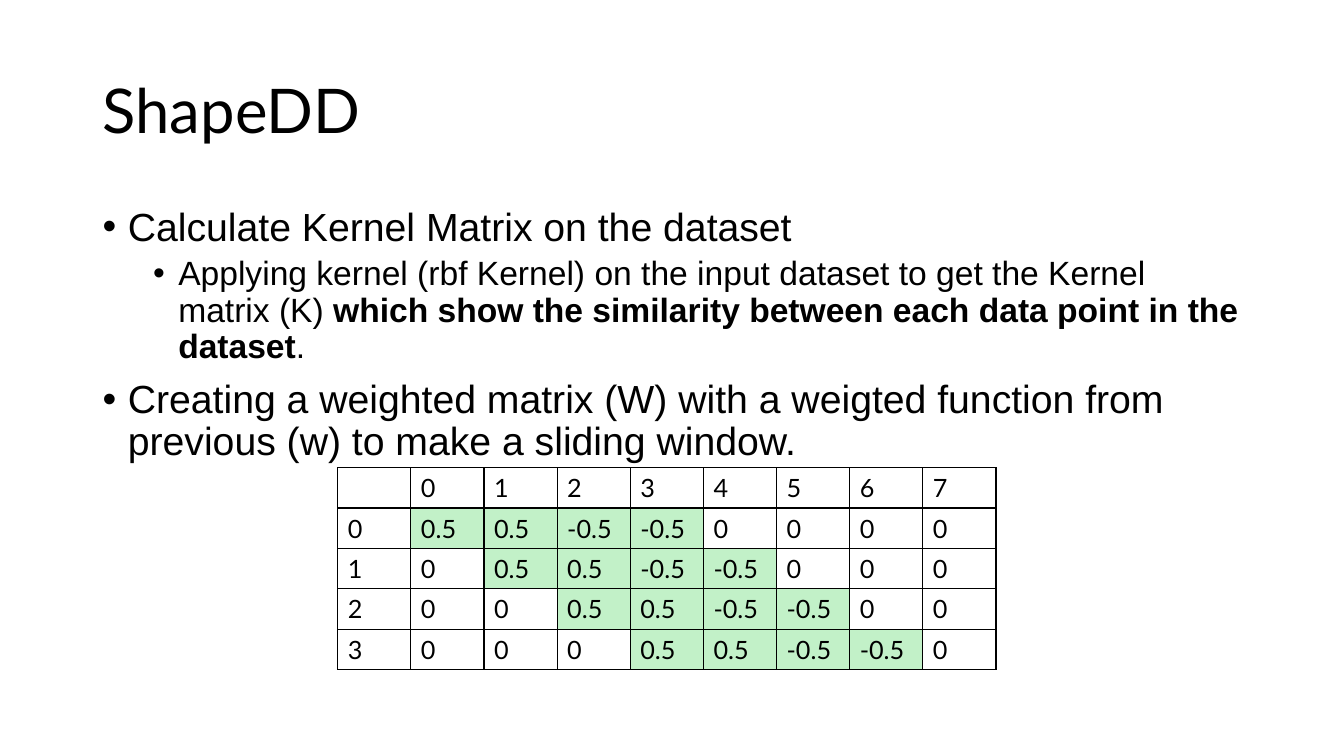
from dataclasses import dataclass

from lxml import etree
from pptx import Presentation
from pptx.dml.color import RGBColor
from pptx.enum.text import MSO_ANCHOR
from pptx.oxml.ns import qn
from pptx.slide import Slide
from pptx.table import _Cell
from pptx.text.text import TextFrame, _Paragraph
from pptx.util import Emu, Inches, Pt

MIDDLE = MSO_ANCHOR.MIDDLE
TOP = MSO_ANCHOR.TOP

SLIDE_WIDTH = Inches(13.333)
SLIDE_HEIGHT = Inches(7.5)
BLANK_LAYOUT = 6

BLACK = "000000"
GREEN = "C2F1C8"
HEADING_FONT = "Lato"
BODY_FONT = "Arial"

KERNEL_WEIGHTS = ("0.5", "0.5", "-0.5", "-0.5")
POINT_COUNT = 8
WINDOW_COUNT = 4


@dataclass(frozen=True)
class Area:
    left: float
    top: float
    width: float
    height: float

    def box(self) -> tuple[Emu, Emu, Emu, Emu]:
        return (
            Emu(round(self.left * SLIDE_WIDTH)),
            Emu(round(self.top * SLIDE_HEIGHT)),
            Emu(round(self.width * SLIDE_WIDTH)),
            Emu(round(self.height * SLIDE_HEIGHT)),
        )


@dataclass(frozen=True)
class Phrase:
    wording: str
    bold: bool = False


@dataclass(frozen=True)
class Point:
    level: int
    size: float
    space_before: float
    phrases: tuple[Phrase, ...]


TITLE_AREA = Area(0.069, 0.053, 0.8625, 0.193)
BODY_AREA = Area(0.069, 0.268, 0.8625, 0.635)
MATRIX_AREA = Area(0.2513, 0.6187, 0.49, 0.267)

POINTS = (
    Point(0, 28, 10, (Phrase("Calculate Kernel Matrix on the dataset"),)),
    Point(1, 24, 5, (
        Phrase("Applying kernel (rbf Kernel) on the input dataset to get the Kernel matrix (K) "),
        Phrase("which show the similarity between each data point in the dataset", True),
        Phrase("."),
    )),
    Point(0, 28, 10, (
        Phrase("Creating a weighted matrix (W) with a weigted function "
               "from previous (w) to make a sliding window."),
    )),
)


def color(code: str) -> RGBColor:
    return RGBColor.from_string(code)


def add_phrase(paragraph: _Paragraph, phrase: Phrase, size: float, font: str) -> None:
    run = paragraph.add_run()
    run.text = phrase.wording
    run.font.size = Pt(size)
    run.font.name = font
    run.font.bold = phrase.bold
    run.font.color.rgb = color(BLACK)


def add_text_area(slide: Slide, area: Area, anchor: MSO_ANCHOR) -> TextFrame:
    frame = slide.shapes.add_textbox(*area.box()).text_frame
    frame.word_wrap = True
    frame.vertical_anchor = anchor
    return frame


def add_title(slide: Slide, wording: str) -> None:
    paragraph = add_text_area(slide, TITLE_AREA, MIDDLE).paragraphs[0]
    paragraph.line_spacing = 0.9
    add_phrase(paragraph, Phrase(wording), 44, HEADING_FONT)


def set_bullet(paragraph: _Paragraph, level: int) -> None:
    properties = paragraph._p.get_or_add_pPr()
    properties.set("marL", str(Inches(0.25 + 0.5 * level)))
    properties.set("indent", str(Inches(-0.25)))
    etree.SubElement(properties, qn("a:buFont")).set("typeface", BODY_FONT)
    etree.SubElement(properties, qn("a:buChar")).set("char", "•")


def add_points(slide: Slide) -> None:
    frame = add_text_area(slide, BODY_AREA, TOP)
    for index, point in enumerate(POINTS):
        paragraph = frame.add_paragraph() if index else frame.paragraphs[0]
        paragraph.level = point.level
        paragraph.line_spacing = 0.9
        paragraph.space_before = Pt(point.space_before)
        set_bullet(paragraph, point.level)
        for phrase in point.phrases:
            add_phrase(paragraph, phrase, point.size, BODY_FONT)


def set_borders(cell: _Cell) -> None:
    properties = cell._tc.get_or_add_tcPr()
    for index, side in enumerate(("a:lnL", "a:lnR", "a:lnT", "a:lnB")):
        border = etree.Element(qn(side), w=str(Pt(1)))
        fill = etree.SubElement(border, qn("a:solidFill"))
        etree.SubElement(fill, qn("a:srgbClr")).set("val", BLACK)
        properties.insert(index, border)


def fill_cell(cell: _Cell, wording: str, in_window: bool) -> None:
    cell.vertical_anchor = MIDDLE
    if in_window:
        cell.fill.solid()
        cell.fill.fore_color.rgb = color(GREEN)
    else:
        cell.fill.background()
    set_borders(cell)
    if wording:
        add_phrase(cell.text_frame.paragraphs[0], Phrase(wording), 18, HEADING_FONT)


def window_row(start: int) -> list[str]:
    trailing = POINT_COUNT - start - len(KERNEL_WEIGHTS)
    return [str(start), *["0"] * start, *KERNEL_WEIGHTS, *["0"] * trailing]


def add_weight_matrix(slide: Slide) -> None:
    header = ["", *map(str, range(POINT_COUNT))]
    rows = [header, *map(window_row, range(WINDOW_COUNT))]
    matrix = slide.shapes.add_table(len(rows), len(header), *MATRIX_AREA.box()).table
    matrix.first_row = False
    matrix.horz_banding = False
    for row_index, row in enumerate(rows):
        for column_index, wording in enumerate(row):
            in_window = row_index > 0 and 0 <= column_index - row_index < len(KERNEL_WEIGHTS)
            fill_cell(matrix.cell(row_index, column_index), wording, in_window)


def main() -> None:
    presentation = Presentation()
    presentation.slide_width = SLIDE_WIDTH
    presentation.slide_height = SLIDE_HEIGHT
    slide = presentation.slides.add_slide(presentation.slide_layouts[BLANK_LAYOUT])
    add_title(slide, "ShapeDD")
    add_points(slide)
    add_weight_matrix(slide)
    presentation.save("out.pptx")


if __name__ == "__main__":
    main()
